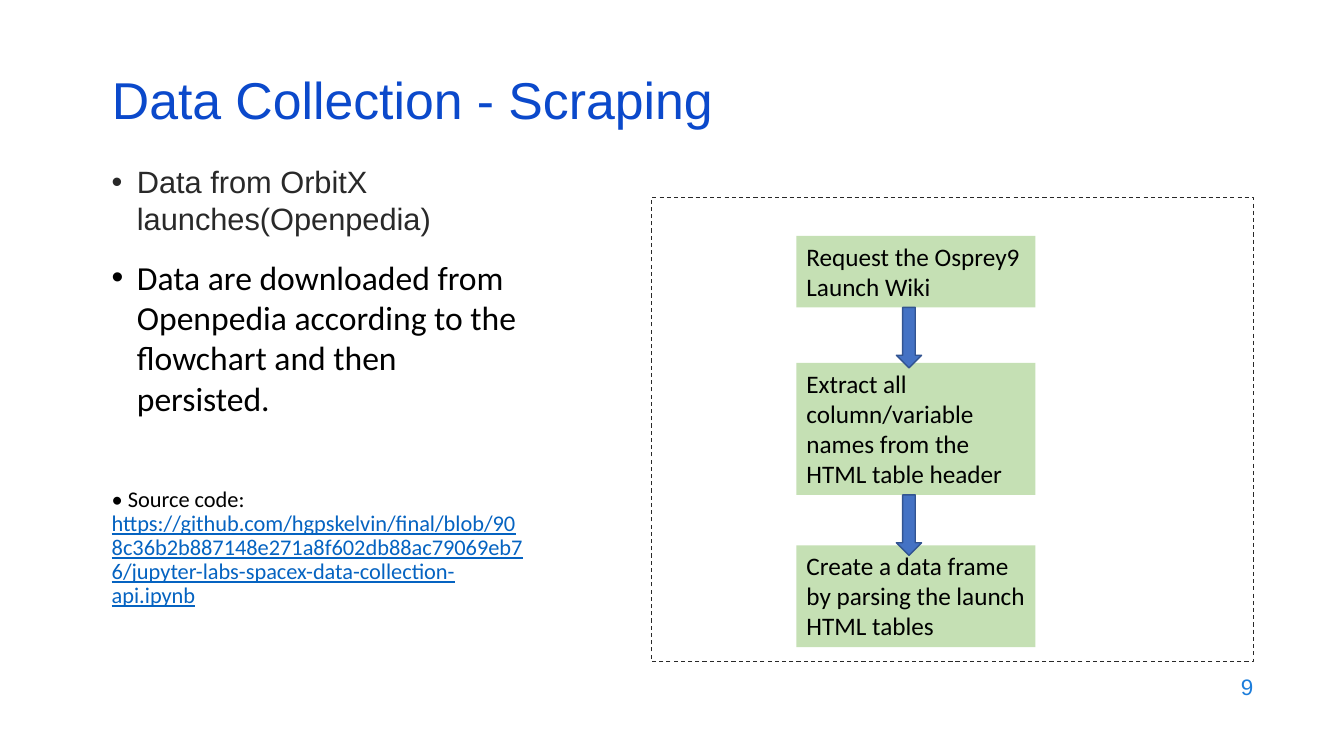
from pptx import Presentation
from pptx.dml.color import RGBColor
from pptx.enum.dml import MSO_LINE
from pptx.enum.shapes import MSO_SHAPE
from pptx.enum.text import MSO_ANCHOR, MSO_AUTO_SIZE, PP_ALIGN
from pptx.oxml.ns import qn
from pptx.util import Inches, Pt

RECTANGLE, DOWN_ARROW = MSO_SHAPE.RECTANGLE, MSO_SHAPE.DOWN_ARROW
MIDDLE, TOP = MSO_ANCHOR.MIDDLE, MSO_ANCHOR.TOP
LEFT, RIGHT = PP_ALIGN.LEFT, PP_ALIGN.RIGHT

# Content
TITLE = "Data Collection - Scraping"
PAGE_NUMBER = "9"
BULLETS = [  # text, font, size, colour
    ("Data from OrbitX launches(Openpedia)", "Arial", 22, "292929"),
    ("Data are downloaded from Openpedia according to the flowchart "
     "and then persisted.", "Calibri", 24, "000000"),
]
SOURCE_LABEL = "• Source code: "
SOURCE_LINK = ("https://github.com/hgpskelvin/final/blob/"
               "908c36b2b887148e271a8f602db88ac79069eb76/"
               "jupyter-labs-spacex-data-collection-api.ipynb")
STEPS = [  # text, top, height
    ("Request the Osprey9 Launch Wiki", 2.34, 0.71),
    ("Extract all column/variable names from the HTML table header", 3.6, 1.31),
    ("Create a data frame by parsing the launch HTML tables", 5.41, 1.01),
]

# Layout in inches
STEP_LEFT, STEP_WIDTH = 7.9, 2.37
ARROW_LEFT, ARROW_WIDTH, ARROW_HEIGHT = 8.89, 0.25, 0.6


def color(value):
    return RGBColor.from_string(value)


def style(span, font, size, value):
    span.font.name = font
    span.font.size = Pt(size)
    span.font.color.rgb = color(value)


def set_frame(box, anchor):
    frame = box.text_frame
    frame.word_wrap = True
    frame.auto_size = MSO_AUTO_SIZE.NONE
    frame.vertical_anchor = anchor
    return frame


def add_text_box(page, left, top, width, height, anchor):
    box = page.shapes.add_textbox(Inches(left), Inches(top), Inches(width), Inches(height))
    return set_frame(box, anchor)


def add_shape(page, kind, left, top, width, height, fill=None, line=None, weight=1):
    shape = page.shapes.add_shape(
        kind, Inches(left), Inches(top), Inches(width), Inches(height))
    shape.shadow.inherit = False
    if fill:
        shape.fill.solid()
        shape.fill.fore_color.rgb = color(fill)
    else:
        shape.fill.background()
    if line:
        shape.line.color.rgb = color(line)
        shape.line.width = Pt(weight)
    else:
        shape.line.fill.background()
    return shape


def add_bullet(para):
    properties = para._p.get_or_add_pPr()
    properties.set("marL", str(Inches(0.25)))
    properties.set("indent", str(-Inches(0.25)))
    font = properties.makeelement(qn("a:buFont"), {"typeface": "Arial"})
    mark = properties.makeelement(qn("a:buChar"), {"char": "•"})
    properties.extend([font, mark])


def add_title(page):
    title = page.shapes.title
    title.left, title.top = Inches(1.01), Inches(0.76)
    title.width, title.height = Inches(11.5), Inches(0.6)
    frame = set_frame(title, MIDDLE)
    frame.text = TITLE
    para = frame.paragraphs[0]
    para.alignment = LEFT
    para.line_spacing = 0.7
    style(para.runs[0], "Arial", 37, "0B49CB")


def add_body(page):
    frame = add_text_box(page, 1.01, 1.57, 4.3, 4.17, TOP)
    for index, (text, font, size, value) in enumerate(BULLETS):
        para = frame.add_paragraph() if index else frame.paragraphs[0]
        para.text = text
        if index:
            para.space_before = Pt(14)
        add_bullet(para)
        style(para.runs[0], font, size, value)

    # Source line, set apart from the bullets
    para = frame.add_paragraph()
    para.space_before = Pt(50)
    para.line_spacing = 0.9
    for text, value in [(SOURCE_LABEL, "000000"), (SOURCE_LINK, "0563C1")]:
        span = para.add_run()
        span.text = text
        style(span, "Calibri", 16, value)
    span.font.underline = True


def add_flowchart(page):
    border = add_shape(page, RECTANGLE, 6.46, 1.96, 5.97, 4.6, line="292929", weight=0.75)
    border.line.dash_style = MSO_LINE.DASH

    for text, top, height in STEPS:
        box = add_shape(page, RECTANGLE, STEP_LEFT, top, STEP_WIDTH, height, fill="C5E0B4")
        frame = set_frame(box, TOP)
        frame.text = text
        para = frame.paragraphs[0]
        para.alignment = LEFT
        style(para.runs[0], "Calibri", 18, "000000")

    # An arrow hangs from every step but the last
    for _, top, height in STEPS[:-1]:
        add_shape(page, DOWN_ARROW, ARROW_LEFT, top + height, ARROW_WIDTH, ARROW_HEIGHT,
                  fill="4472C4", line="325491")


def add_page_number(page):
    frame = add_text_box(page, 9.53, 6.59, 3, 0.44, MIDDLE)
    frame.text = PAGE_NUMBER
    para = frame.paragraphs[0]
    para.alignment = RIGHT
    style(para.runs[0], "Arial", 16, "1C7DDB")


def main():
    deck = Presentation()
    deck.slide_width, deck.slide_height = Inches(13.33), Inches(7.5)
    page = deck.slides.add_slide(deck.slide_layouts[5])
    add_title(page)
    add_body(page)
    add_flowchart(page)
    add_page_number(page)
    deck.save("out.pptx")


if __name__ == "__main__":
    main()
